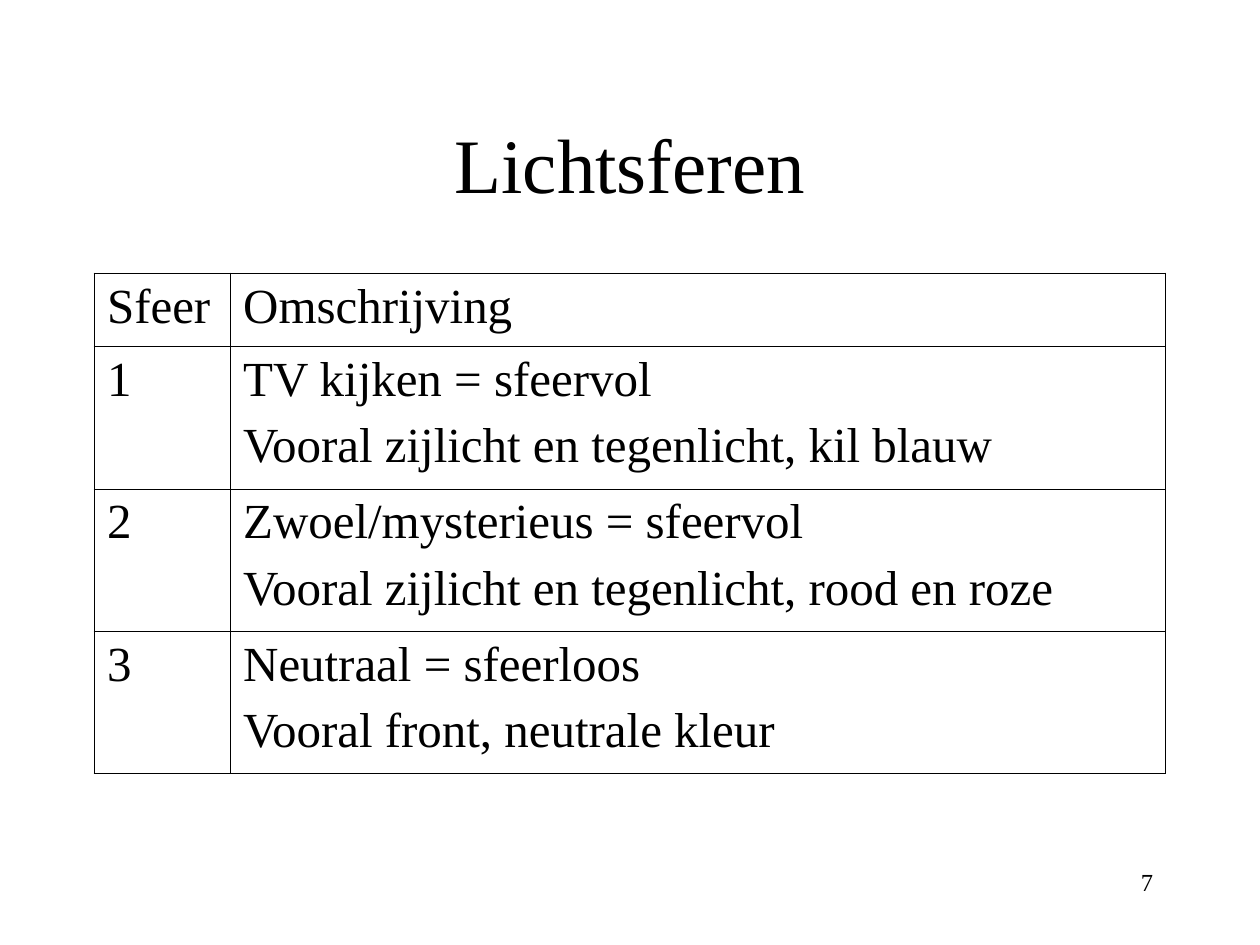
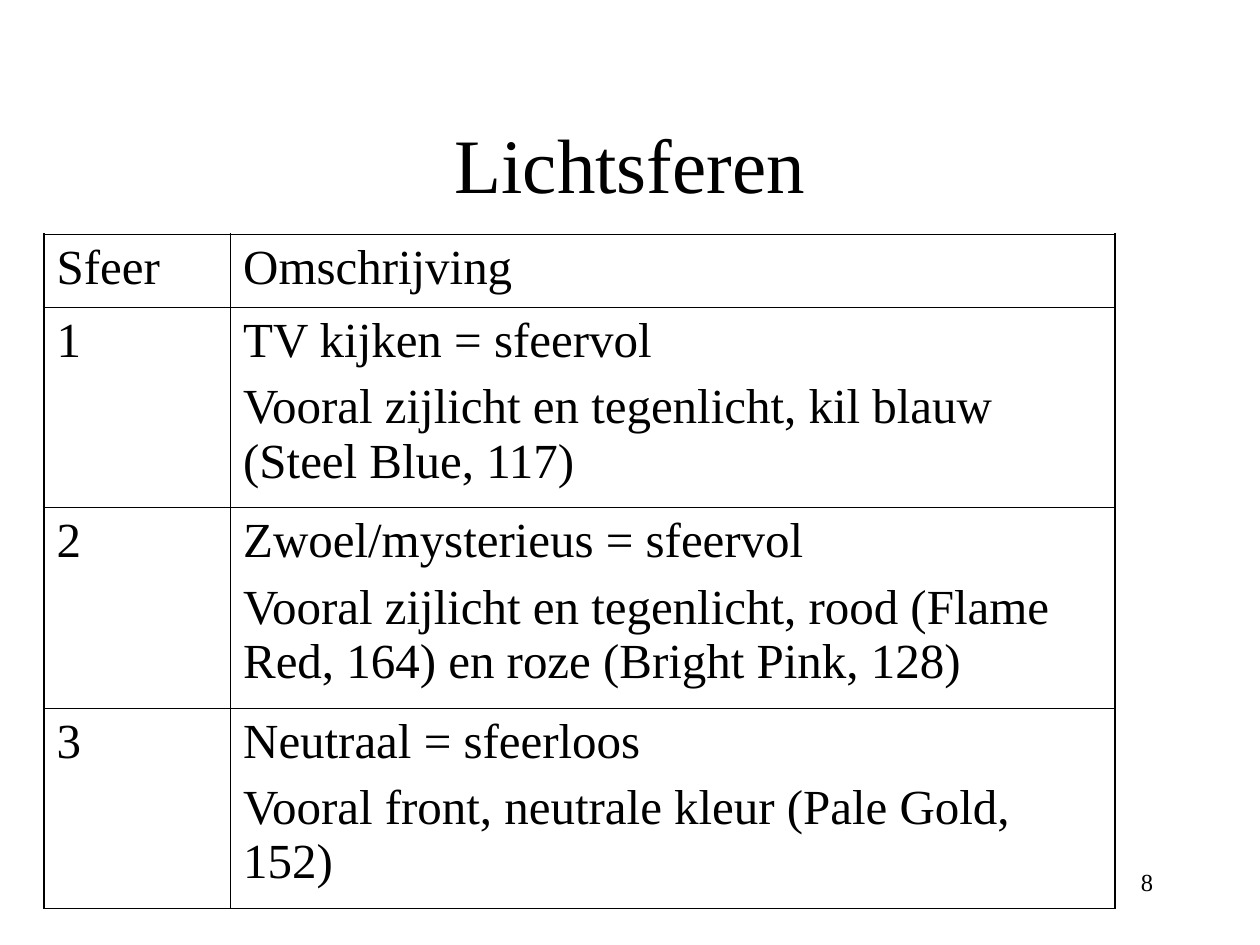
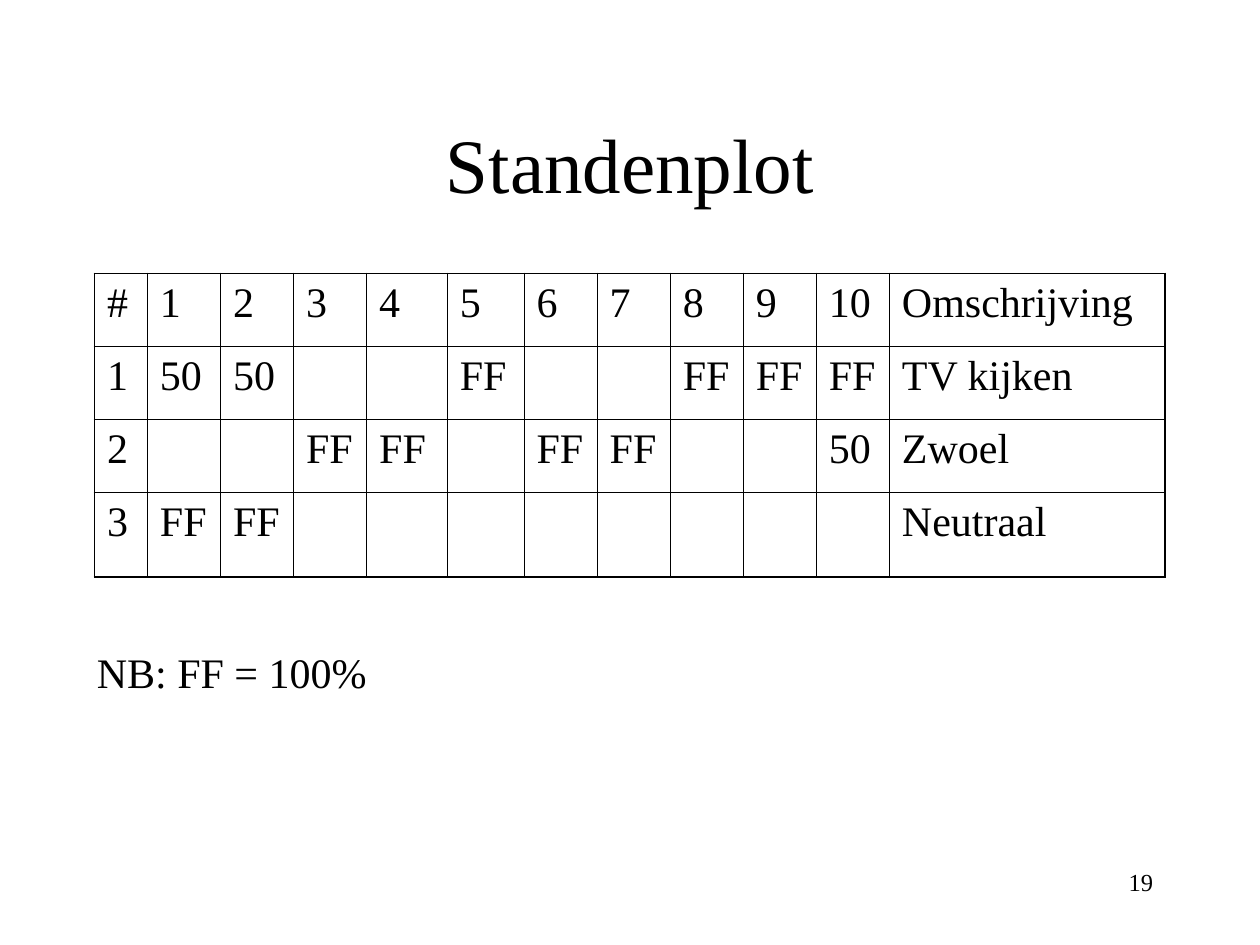
from pptx import Presentation
from pptx.dml.color import RGBColor
from pptx.enum.text import MSO_ANCHOR, PP_ALIGN
from pptx.oxml.ns import qn
from pptx.util import Inches, Pt
from lxml import etree

BLACK = RGBColor(0x00, 0x00, 0x00)
WHITE = RGBColor(0xFF, 0xFF, 0xFF)
FONT = "Times New Roman"
LEFT, CENTER, RIGHT = PP_ALIGN.LEFT, PP_ALIGN.CENTER, PP_ALIGN.RIGHT
MIDDLE = MSO_ANCHOR.MIDDLE
OUTER, INNER = 1.08, 0.45  # border widths in points
TABLE_WIDTH = 8.5

# Each slide gives every column but the last, which takes the rest of the width.
SLIDES = [
    {
        "title": "Lichtsferen", "number": "7",
        "at": (0.75, 2.17), "size": 28,
        "cols": [1.08], "rows": [0.58] + [1.13] * 3,
        "cells": [
            ["Sfeer", "Omschrijving"],
            ["1", "TV kijken = sfeervol\nVooral zijlicht en tegenlicht, kil blauw"],
            ["2", "Zwoel/mysterieus = sfeervol\nVooral zijlicht en tegenlicht, rood en roze"],
            ["3", "Neutraal = sfeerloos\nVooral front, neutrale kleur"],
        ],
    },
    {
        "title": "Lichtsferen", "number": "8",
        "at": (0.35, 1.86), "size": 28,
        "cols": [1.48], "rows": [0.58] + [1.59] * 3,
        "cells": [
            ["Sfeer", "Omschrijving"],
            ["1", "TV kijken = sfeervol\n"
                  "Vooral zijlicht en tegenlicht, kil blauw (Steel Blue, 117)"],
            ["2", "Zwoel/mysterieus = sfeervol\n"
                  "Vooral zijlicht en tegenlicht, rood (Flame Red, 164) "
                  "en roze (Bright Pink, 128)"],
            ["3", "Neutraal = sfeerloos\n"
                  "Vooral front, neutrale kleur (Pale Gold, 152)"],
        ],
    },
    {
        "title": "Standenplot", "number": "19",
        "at": (0.75, 2.17), "size": 24,
        "cols": [0.42] + [0.58] * 3 + [0.64, 0.61] + [0.58] * 5,
        "rows": [0.58] * 3 + [0.67],
        "cells": [
            ["#", "1", "2", "3", "4", "5", "6", "7", "8", "9", "10", "Omschrijving"],
            ["1", "50", "50", "", "", "FF", "", "", "FF", "FF", "FF", "TV kijken"],
            ["2", "", "", "FF", "FF", "", "FF", "FF", "", "", "50", "Zwoel"],
            ["3", "FF", "FF", "", "", "", "", "", "", "", "", "Neutraal"],
        ],
        "note": "NB: FF = 100%",
    },
]


def write(tf, text, size, align=LEFT, space=0):
    """Fill a text frame, one paragraph per line, with space between them."""
    tf.word_wrap = True
    for i, line in enumerate(text.split("\n")):
        p = tf.paragraphs[0] if i == 0 else tf.add_paragraph()
        p.alignment = align
        p.space_before = Pt(space if i else 0)
        p.font.size = Pt(size)
        if line:
            r = p.add_run()
            r.text = line
            r.font.name, r.font.size, r.font.color.rgb = FONT, Pt(size), BLACK


def place(shape, left, top, width, height):
    shape.left, shape.top = Inches(left), Inches(top)
    shape.width, shape.height = Inches(width), Inches(height)


def add_text(s, text, box, size, align=LEFT):
    write(s.shapes.add_textbox(*map(Inches, box)).text_frame, text, size, align)


def set_borders(cell, **widths):
    """Draw the given sides (L, R, T, B, in that order) with widths in points."""
    tc_pr = cell._tc.get_or_add_tcPr()
    for side, width in widths.items():
        ln = etree.SubElement(tc_pr, qn("a:ln" + side), w=str(Pt(width)))
        fill = etree.SubElement(ln, qn("a:solidFill"))
        etree.SubElement(fill, qn("a:srgbClr"), val=str(BLACK))


def add_grid(s, at, cols, rows, cells, size):
    widths = cols + [TABLE_WIDTH - sum(cols)]
    box = (*at, TABLE_WIDTH, sum(rows))
    table = s.shapes.add_table(len(rows), len(widths), *map(Inches, box)).table
    table.first_row = table.horz_banding = False
    for column, width in zip(table.columns, widths):
        column.width = Inches(width)
    for row, height in zip(table.rows, rows):
        row.height = Inches(height)
    last_row, last_col = len(rows) - 1, len(widths) - 1
    for i, texts in enumerate(cells):
        for j, text in enumerate(texts):
            cell = table.cell(i, j)
            write(cell.text_frame, text, size, space=size / 4)
            set_borders(cell,
                        L=OUTER if j == 0 else INNER,
                        R=OUTER if j == last_col else INNER,
                        T=OUTER if i == 0 else INNER,
                        B=OUTER if i == last_row else INNER)
            cell.fill.background()


def add_slide(prs, content):
    s = prs.slides.add_slide(prs.slide_layouts[5])
    s.background.fill.solid()
    s.background.fill.fore_color.rgb = WHITE
    place(s.shapes.title, 0.75, 0.67, 8.5, 1.25)
    s.shapes.title.text_frame.vertical_anchor = MIDDLE
    write(s.shapes.title.text_frame, content["title"], 44, CENTER)
    add_grid(s, content["at"], content["cols"], content["rows"],
             content["cells"], content["size"])
    if "note" in content:
        add_text(s, content["note"], (0.67, 5.08, 8.58, 0.5), 24)
    add_text(s, content["number"], (7.17, 6.83, 2.08, 0.5), 14, RIGHT)


def main():
    prs = Presentation()
    prs.slide_width, prs.slide_height = Inches(10), Inches(7.5)
    for content in SLIDES:
        add_slide(prs, content)
    prs.save("out.pptx")


if __name__ == "__main__":
    main()
